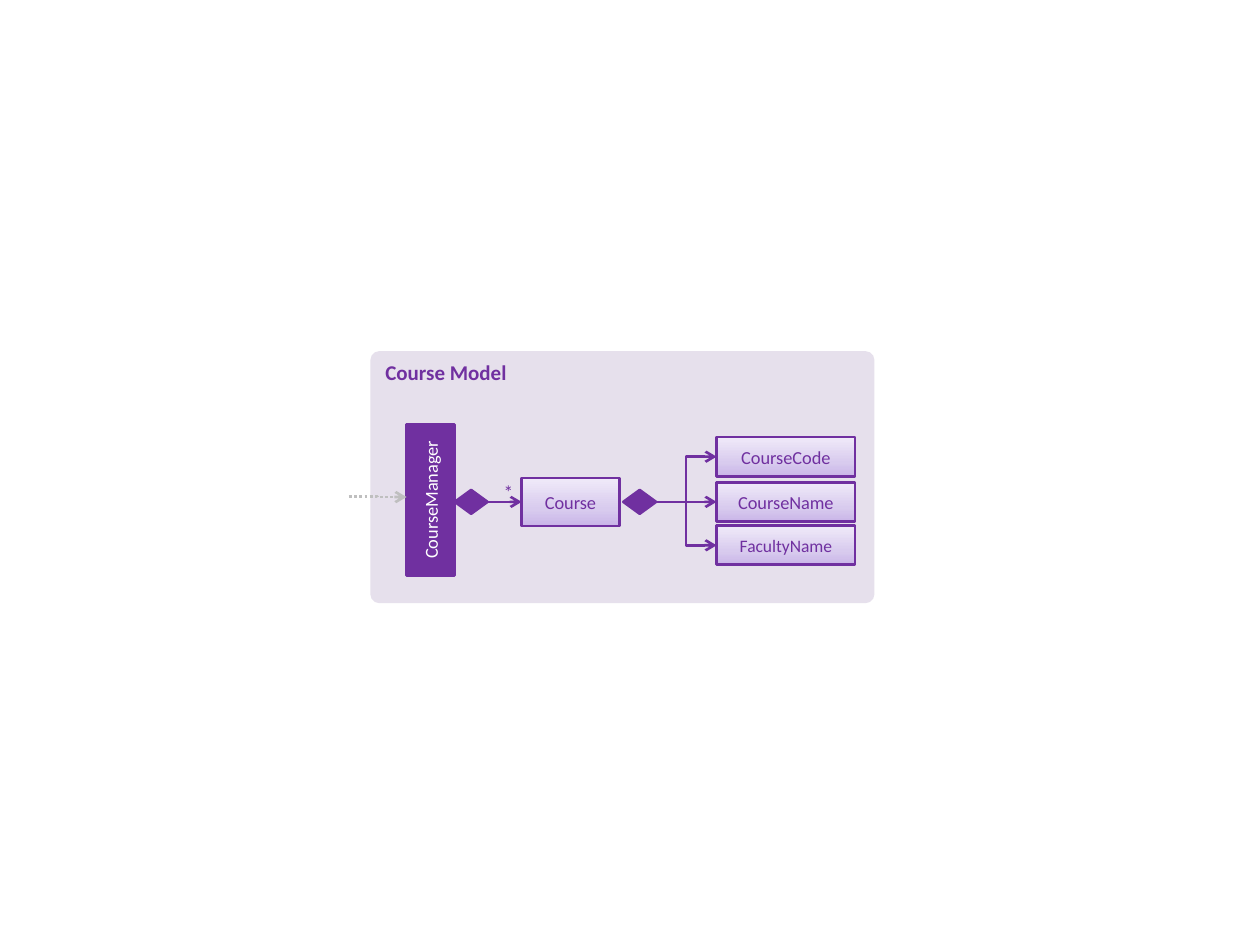
from dataclasses import dataclass
from lxml import etree
from pptx import Presentation
from pptx.dml.color import RGBColor as RGB
from pptx.enum.dml import MSO_LINE_DASH_STYLE as DASH
from pptx.enum.shapes import MSO_CONNECTOR as CONN, MSO_SHAPE as SHAPE
from pptx.enum.text import MSO_ANCHOR as ANCHOR, PP_ALIGN as ALIGN
from pptx.oxml.ns import qn
from pptx.util import Pt


@dataclass
class Theme:
    font: str = "Calibri"
    purple: RGB = RGB(0x70, 0x30, 0xA0)
    panel: RGB = RGB(0xE6, 0xE0, 0xEC)
    white: RGB = RGB(0xFF, 0xFF, 0xFF)
    grey: RGB = RGB(0xBF, 0xBF, 0xBF)
    gradient: tuple = ((0, "C9B5E8"), (35, "D8CBEE"), (100, "F0EAF9"))
    line: float = 1.5
    title: float = 12
    label: float = 10.5
    small: float = 10
    mark: float = 11


theme = Theme()
prs = Presentation()
prs.slide_width, prs.slide_height = Pt(720), Pt(540)
s = prs.slides.add_slide(prs.slide_layouts[6])


def add_box(kind, x, y, w, h, text="", size=theme.label, fill=None, color=theme.purple):
    sp = s.shapes.add_shape(kind, Pt(x), Pt(y), Pt(w), Pt(h))
    sp.shadow.inherit = False
    if fill is None:
        sp.fill.gradient()
        sp.fill.gradient_angle = 90
        stops = sp._element.spPr.find(qn("a:gradFill")).find(qn("a:gsLst"))
        stops.clear()
        for pos, value in theme.gradient:
            stop = etree.SubElement(stops, qn("a:gs"), pos=str(pos * 1000))
            etree.SubElement(stop, qn("a:srgbClr"), val=value)
    else:
        sp.fill.solid()
        sp.fill.fore_color.rgb = fill
    sp.line.color.rgb = theme.purple
    sp.line.width = Pt(theme.line)
    if text:
        tf = sp.text_frame
        tf.vertical_anchor = ANCHOR.MIDDLE
        p = tf.paragraphs[0]
        p.text = text
        p.alignment = ALIGN.CENTER
        p.font.name, p.font.size = theme.font, Pt(size)
        p.font.color.rgb = color
    return sp


def add_arrow(kind, x1, y1, x2, y2, color=theme.purple):
    cx = s.shapes.add_connector(kind, Pt(x1), Pt(y1), Pt(x2), Pt(y2))
    cx.line.color.rgb = color
    cx.line.width = Pt(theme.line)
    if color == theme.grey:
        cx.line.dash_style = DASH.ROUND_DOT
    etree.SubElement(cx.line._get_or_add_ln(), qn("a:tailEnd"), type="arrow")
    etree.SubElement(cx._element.spPr, qn("a:effectLst"))


panel = add_box(SHAPE.ROUNDED_RECTANGLE, 211.7, 200.7, 288, 144,
                "Course Model", theme.title, theme.panel)
panel.adjustments[0] = 0.035
panel.line.fill.background()
panel.text_frame.vertical_anchor = ANCHOR.TOP
p = panel.text_frame.paragraphs[0]
p.alignment = ALIGN.LEFT
p.font.bold = True

manager = add_box(SHAPE.RECTANGLE, 202.8, 271.9, 86.4, 27.4,
                  "CourseManager", fill=theme.purple, color=theme.white)
manager.rotation = 270

add_arrow(CONN.ELBOW, 199.4, 283.7, 232.3, 284, theme.grey)
add_arrow(CONN.STRAIGHT, 278.6, 286.8, 298.1, 286.8)
add_box(SHAPE.RECTANGLE, 298.1, 273.1, 55.8, 27.4, "Course")

for x in (259.9, 356.2):
    add_box(SHAPE.FLOWCHART_DECISION, x, 280, 18.7, 13.6, fill=theme.purple)

for name, y, size in (("CourseCode", 249.8, theme.label),
                      ("CourseName", 275.6, theme.label),
                      ("FacultyName", 300.4, theme.small)):
    add_box(SHAPE.RECTANGLE, 409.5, y, 79.2, 22.4, name, size)
    add_arrow(CONN.ELBOW, 374.6, 286.8, 409.5, y + 11.2)

tb = s.shapes.add_textbox(Pt(283.7), Pt(274.3), Pt(13.7), Pt(10.8))
tf = tb.text_frame
tf.word_wrap = True
tf.margin_left = tf.margin_right = tf.margin_top = tf.margin_bottom = 0
p = tf.paragraphs[0]
p.text = "*"
p.alignment = ALIGN.CENTER
p.font.name, p.font.size = theme.font, Pt(theme.mark)
p.font.color.rgb = theme.purple

prs.save("out.pptx")
